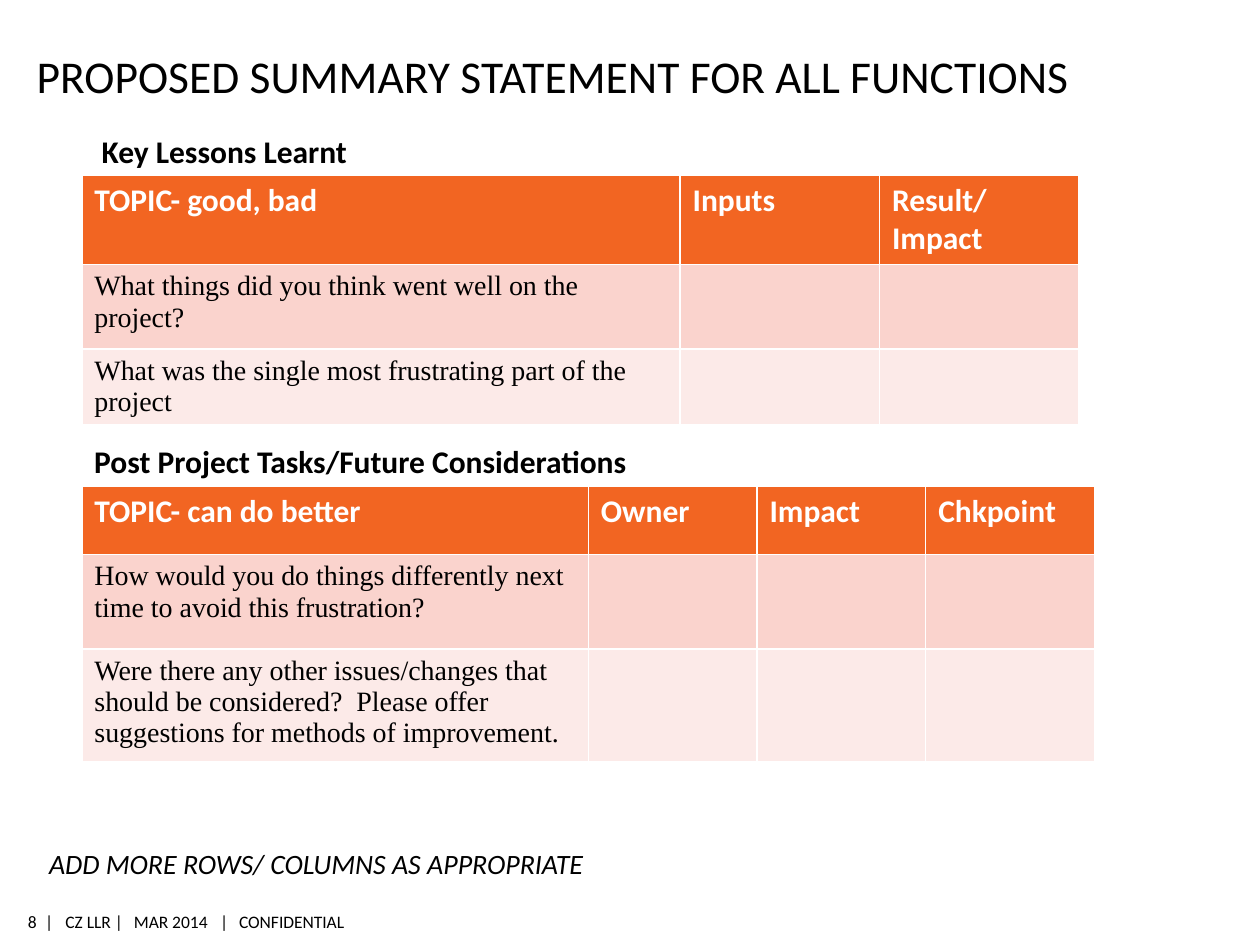
from dataclasses import dataclass

from lxml.etree import SubElement
from pptx import Presentation
from pptx.dml.color import RGBColor
from pptx.enum.text import MSO_ANCHOR, MSO_AUTO_SIZE, PP_ALIGN
from pptx.oxml.ns import qn
from pptx.util import Cm, Pt

COLORS = {
    "text": "000000",
    "header_text": "FFFFFF",
    "header": "F26522",
    "odd_row": "FAD3CD",
    "even_row": "FCEAE8",
}


@dataclass
class Label:
    text: str
    left: float
    top: float
    width: float
    height: float
    size: int
    bold: bool = False
    italic: bool = False


@dataclass
class ReviewTable:
    headings: list[str]
    questions: list[str]
    top: float
    topic_width: float
    answer_width: float
    row_heights: list[float]


LABELS = [
    Label("Key Lessons Learnt", 1.8, 2.54, 5.49, 1.02, 18, bold=True),
    Label("Post Project Tasks/Future Considerations", 1.65, 8.79, 11.33, 1.02, 18, bold=True),
    Label("ADD MORE ROWS/ COLUMNS AS APPROPRIATE", 0.74, 16.94, 11.48, 0.94, 16, italic=True),
]

TABLES = [
    ReviewTable(
        ["TOPIC- good, bad", "Inputs", "Result/ Impact"],
        ["What things did you think went well on the project?",
         "What was the single most frustrating part of the project"],
        3.53, 12.06, 4.02, [1.78, 1.7, 1.52],
    ),
    ReviewTable(
        ["TOPIC- can do better", "Owner", "Impact", "Chkpoint"],
        ["How would you do things differently next time to avoid this frustration?",
         "Were there any other issues/changes that should be considered?  "
         "Please offer suggestions for methods of improvement."],
        9.81, 10.21, 3.4, [1.37, 1.9, 2.28],
    ),
]
TABLE_LEFT = 1.65

FOOTER_TOP, FOOTER_HEIGHT = 18.24, 0.66
FOOTER_TABS = [0.41, 1.79, 3.53, 3.91]


def set_font(paragraph, size: int, color: str = "text", name: str = "Calibri",
             bold: bool = False, italic: bool = False) -> None:
    font = paragraph.font
    font.name, font.size = name, Pt(size)
    font.bold, font.italic = bold, italic
    font.color.rgb = RGBColor.from_string(COLORS[color])


def add_label(slide, label: Label):
    box = slide.shapes.add_textbox(
        Cm(label.left), Cm(label.top), Cm(label.width), Cm(label.height))
    frame = box.text_frame
    frame.word_wrap = False
    frame.text = label.text
    set_font(frame.paragraphs[0], label.size, bold=label.bold, italic=label.italic)
    return frame


def add_footer_label(slide, text: str, left: float, width: float):
    frame = add_label(slide, Label(text, left, FOOTER_TOP, width, FOOTER_HEIGHT, 10))
    frame.margin_left = frame.margin_right = 0
    frame.margin_top = frame.margin_bottom = Cm(0.1)
    frame.vertical_anchor = MSO_ANCHOR.MIDDLE
    return frame.paragraphs[0]


def add_tab_stops(paragraph, stops: list[float]) -> None:
    tab_list = SubElement(paragraph._p.get_or_add_pPr(), qn("a:tabLst"))
    # Tab stops come before the default run properties
    tab_list.getparent().insert(0, tab_list)
    for stop in stops:
        SubElement(tab_list, qn("a:tab"), pos=str(int(Cm(stop))), algn="l")


def add_review_table(slide, review: ReviewTable) -> None:
    widths = [review.topic_width] + [review.answer_width] * (len(review.headings) - 1)
    table = slide.shapes.add_table(
        len(review.row_heights), len(widths), Cm(TABLE_LEFT), Cm(review.top),
        Cm(sum(widths)), Cm(sum(review.row_heights))).table
    for column, width in zip(table.columns, widths):
        column.width = Cm(width)
    for row, height in zip(table.rows, review.row_heights):
        row.height = Cm(height)

    # Header row
    for cell, heading in zip(table.rows[0].cells, review.headings):
        cell.text = heading
        set_font(cell.text_frame.paragraphs[0], 18, "header_text", bold=True)

    # Questions in the first column, answers left open
    for row, question in enumerate(review.questions, start=1):
        cell = table.cell(row, 0)
        cell.text = question
        set_font(cell.text_frame.paragraphs[0], 16, name="Times New Roman")

    # Row fills; the table style supplies the white grid
    for row, fill in zip(table.rows, ("header", "odd_row", "even_row")):
        for cell in row.cells:
            cell.fill.solid()
            cell.fill.fore_color.rgb = RGBColor.from_string(COLORS[fill])


def add_title(slide, text: str) -> None:
    title = slide.shapes.title
    title.left, title.top, title.width, title.height = Cm(0.74), Cm(0.86), Cm(21.34), Cm(1.2)
    frame = title.text_frame
    frame.text = text
    frame.auto_size = MSO_AUTO_SIZE.NONE
    frame.vertical_anchor = MSO_ANCHOR.BOTTOM
    frame.margin_left = frame.margin_right = frame.margin_bottom = 0
    frame.paragraphs[0].alignment = PP_ALIGN.LEFT
    set_font(frame.paragraphs[0], 26)


def main() -> None:
    presentation = Presentation()
    presentation.slide_width, presentation.slide_height = Cm(25.4), Cm(19.05)
    slide = presentation.slides.add_slide(presentation.slide_layouts[5])

    add_title(slide, "PROPOSED SUMMARY STATEMENT FOR ALL FUNCTIONS")
    for review in TABLES:
        add_review_table(slide, review)
    for label in LABELS:
        add_label(slide, label)

    # Footer: page number and document details
    page_number = add_footer_label(slide, "8", 0.33, 0.41)
    page_number.alignment = PP_ALIGN.RIGHT
    details = add_footer_label(
        slide, "|\tCZ LLR |\tMAR 2014\t|\tCONFIDENTIAL", 0.91, 6.32)
    add_tab_stops(details, FOOTER_TABS)

    presentation.save("out.pptx")


if __name__ == "__main__":
    main()
